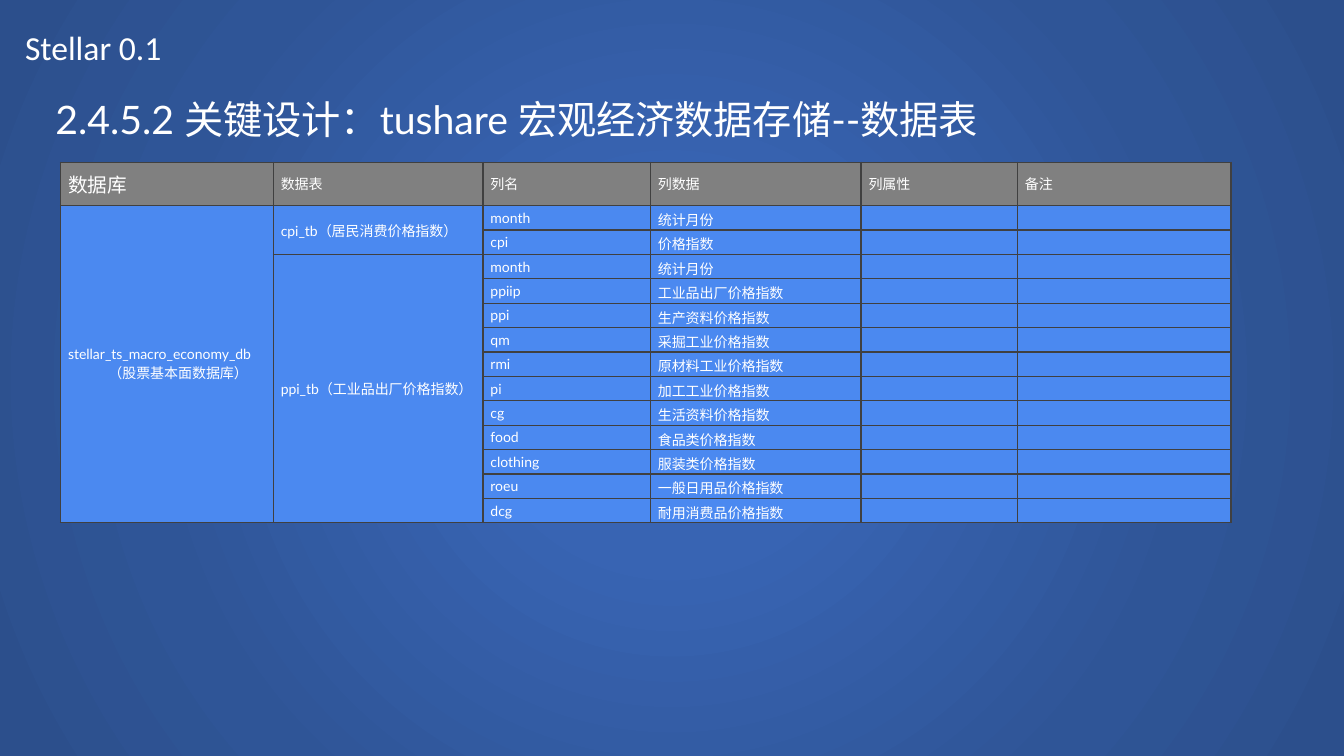
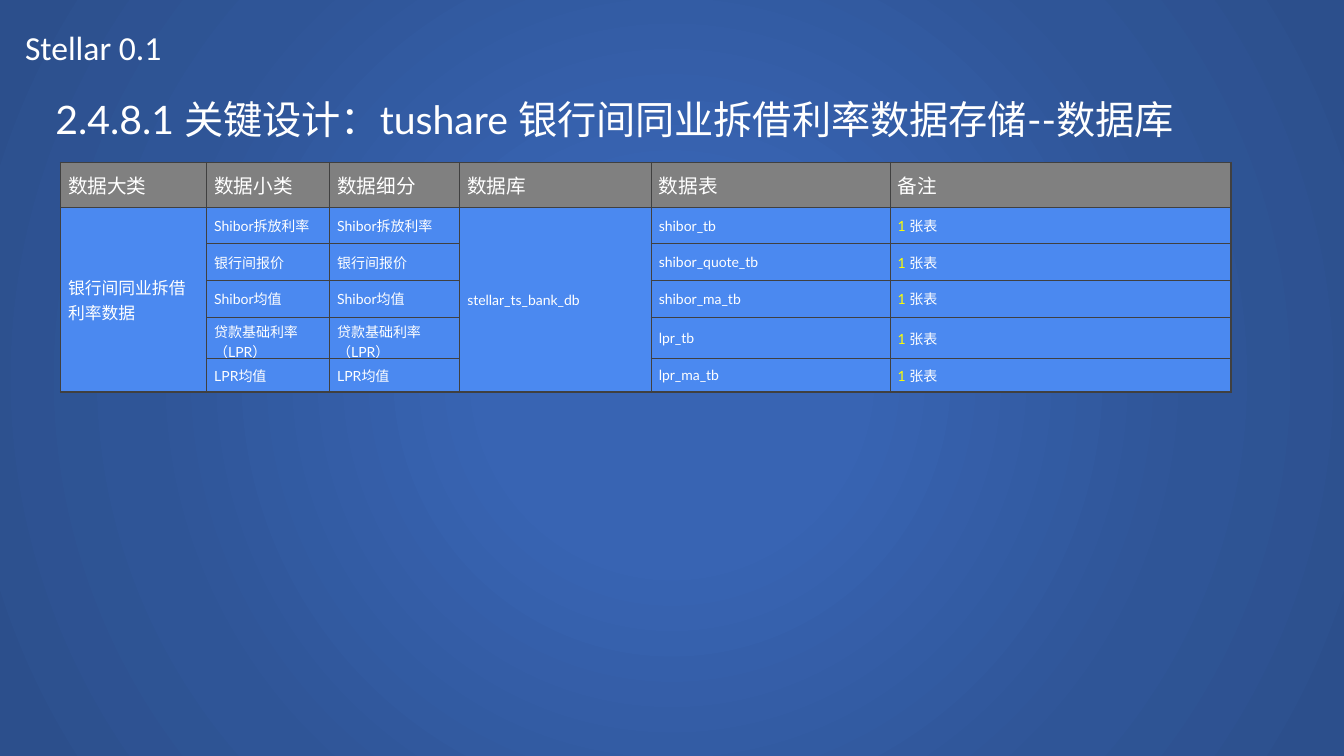
"""Build two slides describing the Stellar data storage design."""
import pptx
import pptx.dml.color
import pptx.enum.text
import pptx.oxml.ns
import pptx.util
from lxml import etree

Inches, Pt = pptx.util.Inches, pptx.util.Pt
qn = pptx.oxml.ns.qn
ANCHOR = pptx.enum.text.MSO_ANCHOR

COLORS = {
    "text": "FFFFFF",
    "accent": "FFFF00",
    "head": "808080",
    "body": "4B89F0",
    "border": "404040",
}
BACKDROP = [(0, "3864B3"), (23, "3864B3"), (69, "2F5597"), (97, "2C4F8C")]
ONE_TABLE = [("1 ", "accent"), ("张表", "text")]

SLIDES = [
    {
        "title": "2.4.5.2 关键设计：tushare 宏观经济数据存储--数据表",
        "cols": [2.11, 2.08, 1.66, 2.09, 1.55, 2.12],
        "heights": [0.43] + [0.24] * 13,
        "head_sizes": [14, 10, 10, 10, 10, 10],
        "body_sizes": [10] * 6,
        "spans": [(1, 0, 13), (1, 1, 2), (3, 1, 11)],
        "rows": [
            ["数据库", "数据表", "列名", "列数据", "列属性", "备注"],
            ["stellar_ts_macro_economy_db\n（股票基本面数据库）",
             "cpi_tb（居民消费价格指数）", "month", "统计月份", "", ""],
            ["", "", "cpi", "价格指数", "", ""],
            ["", "ppi_tb（工业品出厂价格指数）", "month", "统计月份", "", ""],
            ["", "", "ppiip", "工业品出厂价格指数", "", ""],
            ["", "", "ppi", "生产资料价格指数", "", ""],
            ["", "", "qm", "采掘工业价格指数", "", ""],
            ["", "", "rmi", "原材料工业价格指数", "", ""],
            ["", "", "pi", "加工工业价格指数", "", ""],
            ["", "", "cg", "生活资料价格指数", "", ""],
            ["", "", "food", "食品类价格指数", "", ""],
            ["", "", "clothing", "服装类价格指数", "", ""],
            ["", "", "roeu", "一般日用品价格指数", "", ""],
            ["", "", "dcg", "耐用消费品价格指数", "", ""],
        ],
    },
    {
        "title": "2.4.8.1 关键设计：tushare 银行间同业拆借利率数据存储--数据库",
        "cols": [1.45, 1.22, 1.29, 1.9, 2.37, 3.38],
        "heights": [0.45, 0.36, 0.36, 0.37, 0.4, 0.33],
        "head_sizes": [14] * 6,
        "body_sizes": [12, 10, 10, 10, 10, 10],
        "spans": [(1, 0, 5), (1, 3, 5)],
        "rows": [
            ["数据大类", "数据小类", "数据细分", "数据库", "数据表", "备注"],
            ["银行间同业拆借利率数据", "Shibor拆放利率", "Shibor拆放利率",
             "stellar_ts_bank_db", "shibor_tb", ONE_TABLE],
            ["", "银行间报价", "银行间报价", "", "shibor_quote_tb", ONE_TABLE],
            ["", "Shibor均值", "Shibor均值", "", "shibor_ma_tb", ONE_TABLE],
            ["", "贷款基础利率（LPR）", "贷款基础利率（LPR）", "", "lpr_tb", ONE_TABLE],
            ["", "LPR均值", "LPR均值", "", "lpr_ma_tb", ONE_TABLE],
        ],
    },
]


def write(p, text, size=10, font="Lato", color="text"):
    """Add one formatted run to a paragraph."""
    r = p.add_run()
    r.text = text
    r.font.size = Pt(size)
    r.font.name = font
    r.font.color.rgb = pptx.dml.color.RGBColor.from_string(COLORS[color])


def style_cell(cell, fill):
    """Give a cell its margins, borders and fill."""
    cell.margin_left = cell.margin_right = Pt(5.4)
    cell.margin_top = cell.margin_bottom = Pt(2.7)
    cell.vertical_anchor = ANCHOR.MIDDLE
    tc_pr = cell._tc.get_or_add_tcPr()
    for side in ("a:lnL", "a:lnR", "a:lnT", "a:lnB"):
        ln = etree.SubElement(tc_pr, qn(side), w=str(Pt(1)))
        solid = etree.SubElement(ln, qn("a:solidFill"))
        etree.SubElement(solid, qn("a:srgbClr"), val=COLORS["border"])
    cell.fill.solid()
    cell.fill.fore_color.rgb = pptx.dml.color.RGBColor.from_string(COLORS[fill])


prs = pptx.Presentation()
prs.slide_width, prs.slide_height = Inches(13.33), Inches(7.5)
layout = prs.slide_layouts[5]

layout.background.fill.gradient()
grad = layout._element.find(".//" + qn("a:gradFill"))
grad.clear()
stops = etree.SubElement(grad, qn("a:gsLst"))
for share, color in BACKDROP:
    gs = etree.SubElement(stops, qn("a:gs"), pos=str(share * 1000))
    etree.SubElement(gs, qn("a:srgbClr"), val=color)
circle = etree.SubElement(grad, qn("a:path"), path="circle")
etree.SubElement(circle, qn("a:fillToRect"), {side: "50000" for side in "ltrb"})

for data in SLIDES:
    s = prs.slides.add_slide(layout)

    sp = s.shapes.add_textbox(Inches(0.15), Inches(0.22), Inches(5.04), Inches(0.5))
    sp.text_frame.word_wrap = True
    write(sp.text_frame.paragraphs[0], "Stellar 0.1", size=24, font="Calibri")

    sp = s.shapes.title
    sp.left, sp.top = Inches(0.45), Inches(0.9)
    sp.width, sp.height = Inches(11.77), Inches(0.57)
    tf = sp.text_frame
    tf.word_wrap = True
    tf.auto_size = pptx.enum.text.MSO_AUTO_SIZE.SHAPE_TO_FIT_TEXT
    tf.vertical_anchor = ANCHOR.TOP
    tf.paragraphs[0].alignment = pptx.enum.text.PP_ALIGN.LEFT
    write(tf.paragraphs[0], data["title"], size=28)

    rows, cols, heights = data["rows"], data["cols"], data["heights"]
    table = s.shapes.add_table(
        len(rows), len(cols), Inches(0.6), Inches(1.61),
        Inches(sum(cols)), Inches(sum(heights))).table
    table.first_row = table.horz_banding = False
    for col, width in zip(table.columns, cols):
        col.width = Inches(width)
    for row, height in zip(table.rows, heights):
        row.height = Inches(height)

    for i, values in enumerate(rows):
        sizes = data["body_sizes"] if i else data["head_sizes"]
        for j, (value, size) in enumerate(zip(values, sizes)):
            cell = table.cell(i, j)
            style_cell(cell, "body" if i else "head")
            tf = cell.text_frame
            p = tf.paragraphs[0]
            if not value:
                etree.SubElement(p._p, qn("a:endParaRPr"), sz=str(size * 100))
            elif isinstance(value, list):
                for text, color in value:
                    write(p, text, size=size, color=color)
            else:
                first, *others = value.split("\n")
                write(p, first, size=size)
                for text in others:
                    p = tf.add_paragraph()
                    p._p.get_or_add_pPr().set("marL", str(Inches(0.4)))
                    write(p, text, size=size)

    for i, j, span in data["spans"]:
        table.cell(i, j).merge(table.cell(i + span - 1, j))

prs.save("out.pptx")
